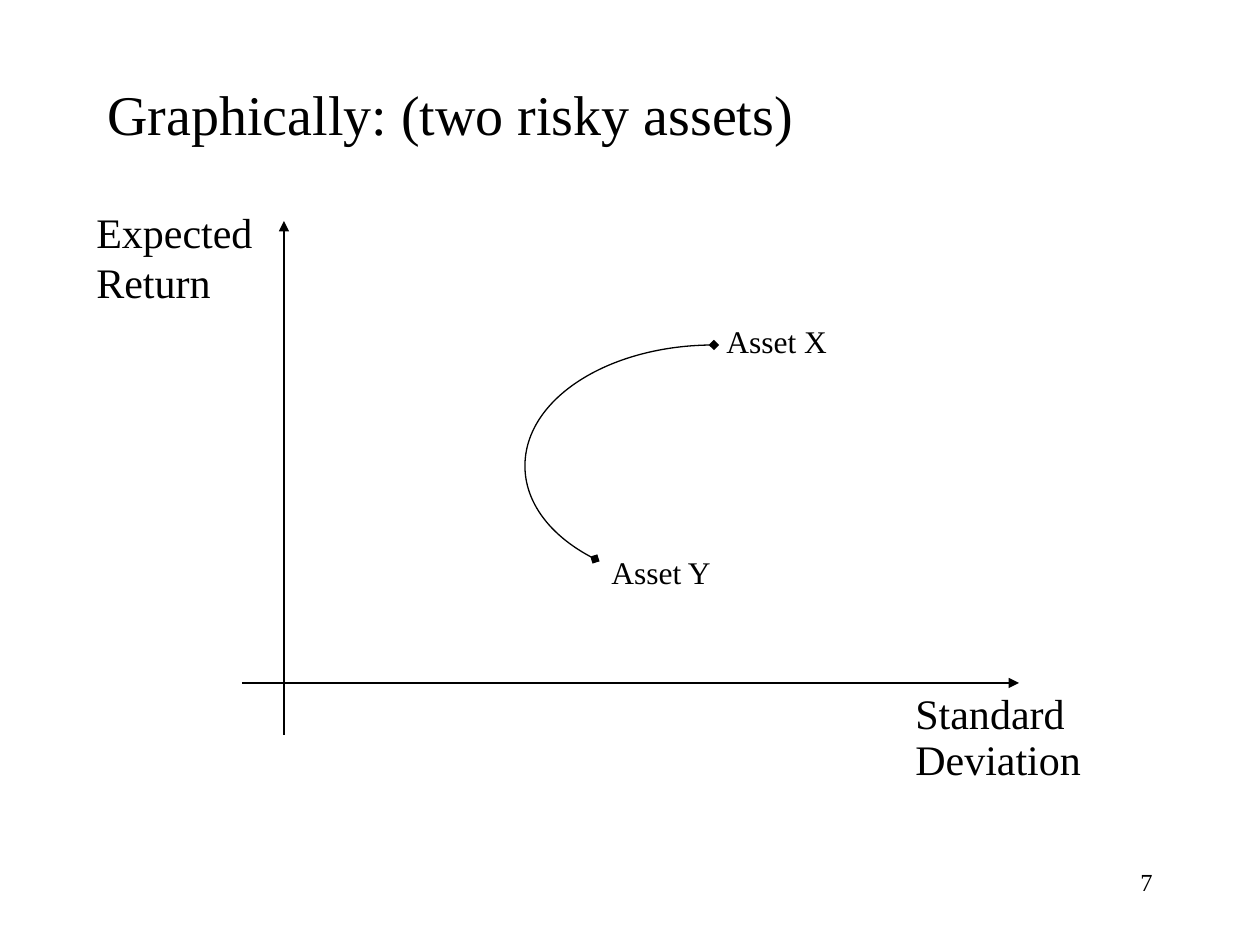
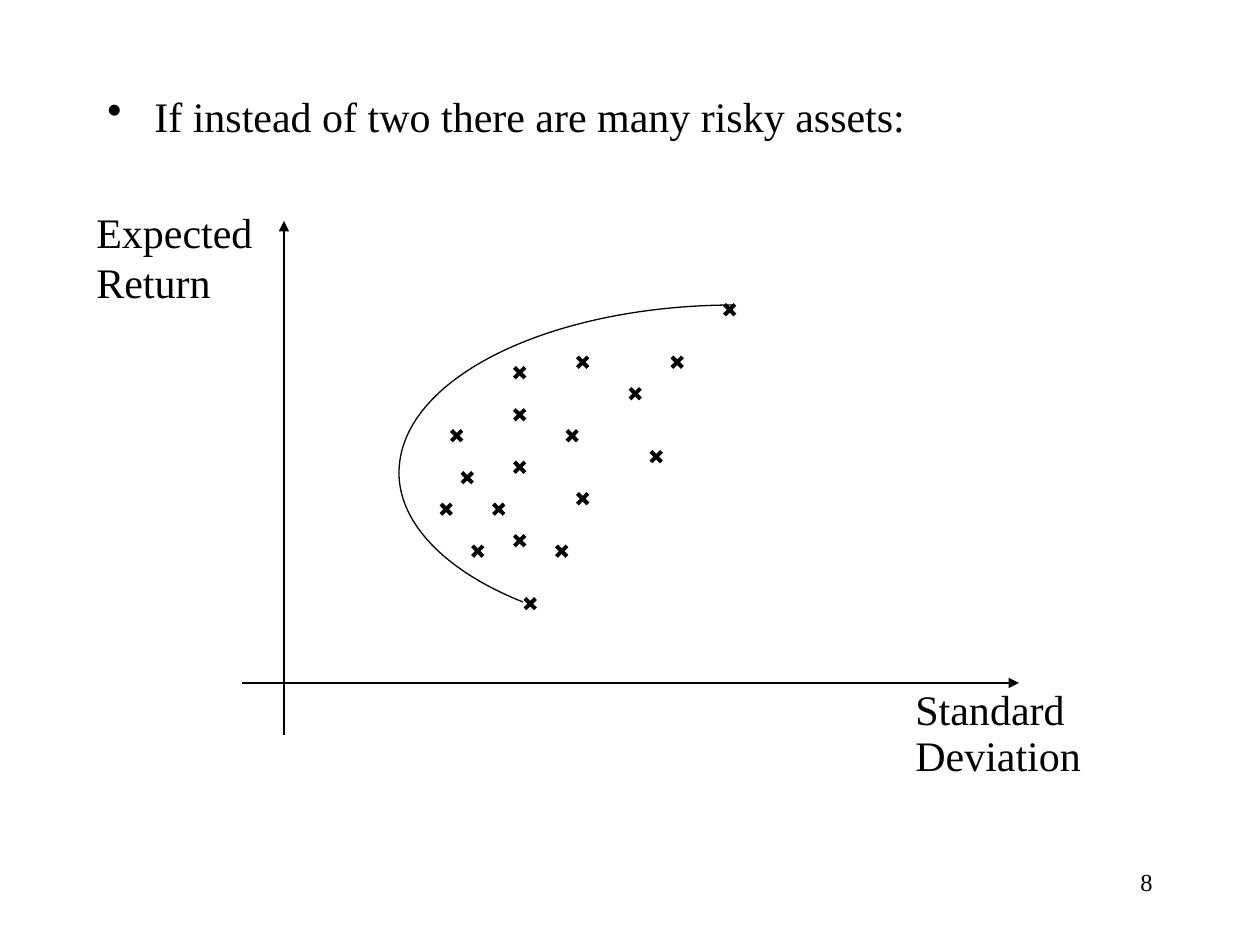
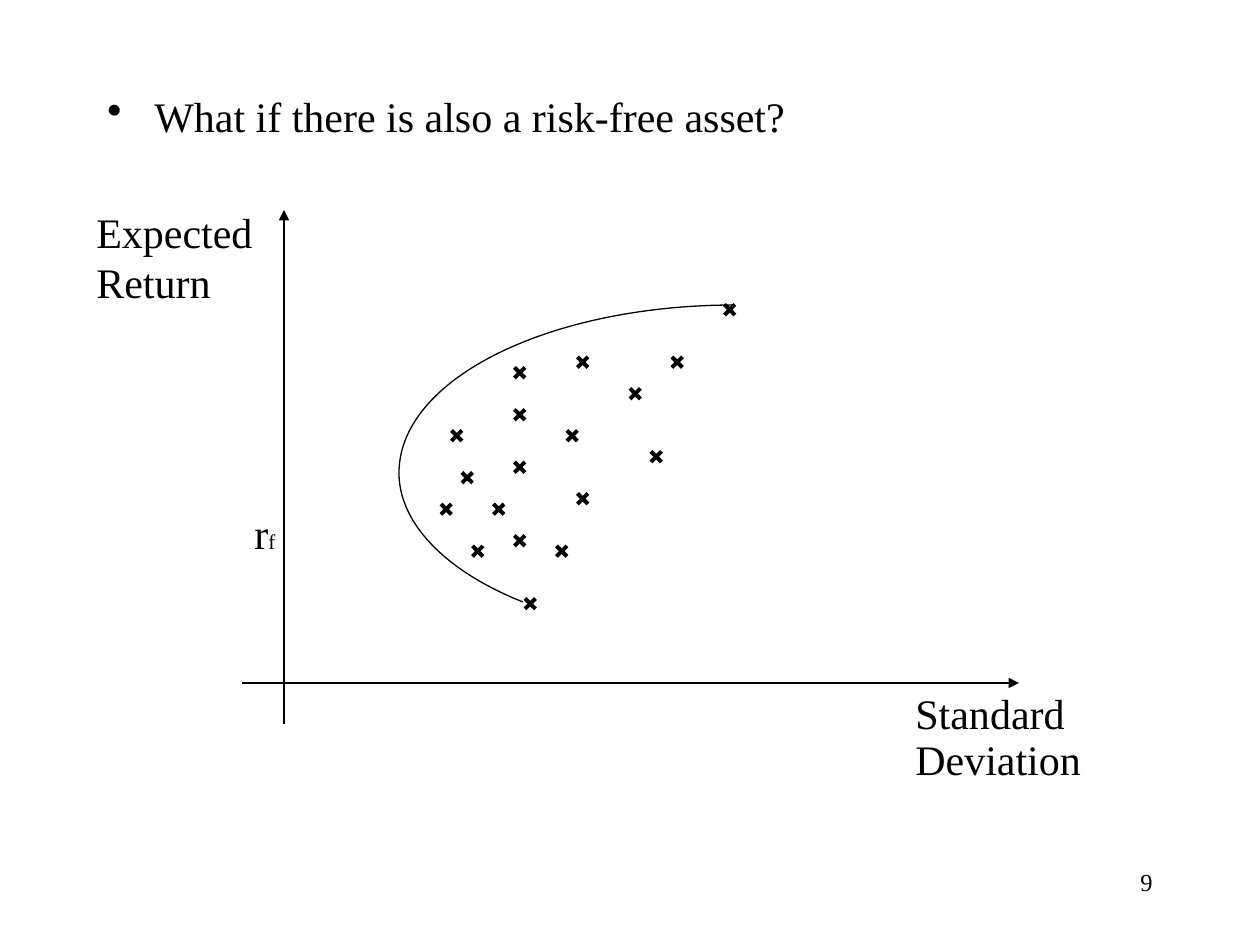
import pptx
import pptx.dml.color
import pptx.enum.shapes
import pptx.enum.text
import pptx.oxml
import pptx.oxml.ns
import pptx.util
import lxml.etree

# Content
COLOURS = {"ink": "000000", "paper": "FFFFFF"}
FONT = "Times New Roman"
PIXEL = 914400 / 126
CELL = 126 / 12  # one square of the grid that the asset marks sit on

TWO_ASSET_CURVE = [(714, 345), (610, 345), (525, 399), (525, 466),
                   (525, 502), (551, 537), (595, 559)]
FRONTIER = [(735, 305), (549, 305), (399, 379), (399, 473),
            (399, 523), (445, 571), (523, 602)]
# Column and row of each asset mark
ASSETS = [(47, 48), (49, 51), (49, 39), (43, 41), (42, 48), (45, 52),
          (49, 35), (49, 44), (44, 45), (69, 29), (50, 57), (55, 34),
          (55, 47), (54, 41), (53, 52), (60, 37), (62, 43), (64, 34)]

SLIDES = [
    {"number": 7, "heading": "Graphically: (two risky assets)", "top": 73,
     "size": 32, "bullet": False, "axis_top": 221, "deviation_top": 703,
     "curve": TWO_ASSET_CURVE, "ends": "diamond", "assets": [],
     "labels": [((714, 316, 200, 50), [("Asset X", 18)]),
                ((599, 547, 200, 50), [("Asset Y", 18)])]},
    {"number": 8, "heading": "If instead of two there are many risky assets:",
     "top": 84, "size": 24, "bullet": True, "axis_top": 221,
     "deviation_top": 699, "curve": FRONTIER, "ends": None,
     "assets": ASSETS, "labels": []},
    {"number": 9, "heading": "What if there is also a risk-free asset?",
     "top": 84, "size": 24, "bullet": True, "axis_top": 210,
     "deviation_top": 703, "curve": FRONTIER, "ends": None,
     "assets": ASSETS,
     "labels": [((242, 501, 63, 63), [("r", 24), ("f", 12)])]},
]


def px(length):
    """Turn pixels into EMU."""
    return pptx.util.Emu(round(length * PIXEL))


def colour(name):
    """Look up a colour by its name."""
    return pptx.dml.color.RGBColor.from_string(COLOURS[name])


def add_child(parent, tag, **attributes):
    """Append a DrawingML element."""
    return lxml.etree.SubElement(parent, pptx.oxml.ns.qn(tag), attributes)


def add_text(page, place, paragraphs, before=50, spacing=None, align=None,
             bullet=None):
    """Add a text box; each paragraph is a list of (text, size) spans."""
    box = page.shapes.add_textbox(*map(px, place))
    frame = box.text_frame
    frame.word_wrap = True
    for index, spans in enumerate(paragraphs):
        para = frame.paragraphs[0] if index == 0 else frame.add_paragraph()
        para.alignment = align
        para.line_spacing = spacing
        properties = para._p.get_or_add_pPr()
        if before:
            add_child(add_child(properties, "a:spcBef"), "a:spcPct",
                      val=str(before * 1000))
        if bullet is not None:
            properties.set("marL", str(px(47)))
            properties.set("indent", str(-px(47)))
            if bullet:
                add_child(properties, "a:buChar", char="•")
            else:
                add_child(properties, "a:buNone")
        para.font.name = FONT
        para.font.size = pptx.util.Pt(spans[0][1])
        para.font.color.rgb = colour("ink")
        for text, size in spans:
            span = para.add_run()
            span.text = text
            if size != spans[0][1]:
                span.font.size = pptx.util.Pt(size)


def style_line(shape, width, head=None, tail=None):
    """Set the line of a shape, with optional ends."""
    shape.line.color.rgb = colour("ink")
    shape.line.width = pptx.util.Pt(width)
    outline = shape.line._get_or_add_ln()
    for tag, kind in (("a:headEnd", head), ("a:tailEnd", tail)):
        if kind:
            add_child(outline, tag, type=kind)


def add_line(shapes, start, end, width, **ends):
    """Add a straight line without a shadow."""
    line = shapes.add_connector(pptx.enum.shapes.MSO_CONNECTOR.STRAIGHT,
                                *map(px, start + end))
    style_line(line, width, **ends)
    add_child(line._element.spPr, "a:effectLst")


def add_curve(page, points, ends):
    """Add an open curve: a start, then three points for each Bezier part."""
    places = [(px(x), px(y)) for x, y in points]
    builder = page.shapes.build_freeform(*places[0])
    builder.add_line_segments(places[1:], close=False)
    curve = builder.convert_to_shape()
    curve.shadow.inherit = False
    curve.fill.background()
    style_line(curve, 0.75, head=ends, tail=ends)
    segments = curve._element.xpath(".//a:lnTo")
    for first in range(0, len(segments), 3):
        part = add_child(segments[first].getparent(), "a:cubicBezTo")
        for segment in segments[first:first + 3]:
            part.append(segment[0])
            segment.getparent().remove(segment)


def add_asset(page, column, row):
    """Add a cross that fills one grid square."""
    left, top = column * CELL, row * CELL
    right, bottom = left + CELL, top + CELL
    cross = page.shapes.add_group_shape()
    add_line(cross.shapes, (left, top), (right, bottom), 2.25)
    add_line(cross.shapes, (left, bottom), (right, top), 2.25)


def add_slide(deck, content):
    """Build one slide: heading, axes, curve, marks and labels."""
    page = deck.slides.add_slide(deck.slide_layouts[6])
    page.background.fill.solid()
    page.background.fill.fore_color.rgb = colour("paper")
    add_text(page, (903, 861, 262, 63), [[(str(content["number"]), 14)]],
             before=0, align=pptx.enum.text.PP_ALIGN.RIGHT)
    add_text(page, (95, content["top"], 1071, 567),
             [[(content["heading"], content["size"])]],
             before=20, bullet=content["bullet"])
    axis_top = content["axis_top"]
    add_line(page.shapes, (284, axis_top), (284, axis_top + 514), 0.75,
             head="triangle")
    add_line(page.shapes, (242, 683), (1019, 683), 0.75, tail="triangle")
    add_text(page, (84, 200, 200, 113), [[("Expected Return", 24)]])
    add_text(page, (903, content["deviation_top"], 210, 88),
             [[("Standard", 24)], [("Deviation", 24)]], spacing=0.5)
    add_curve(page, content["curve"], content["ends"])
    for column, row in content["assets"]:
        add_asset(page, column, row)
    for place, spans in content["labels"]:
        add_text(page, place, [spans])


deck = pptx.Presentation()
deck.slide_width, deck.slide_height = px(1260), px(945)
for content in SLIDES:
    add_slide(deck, content)
deck.save("out.pptx")
